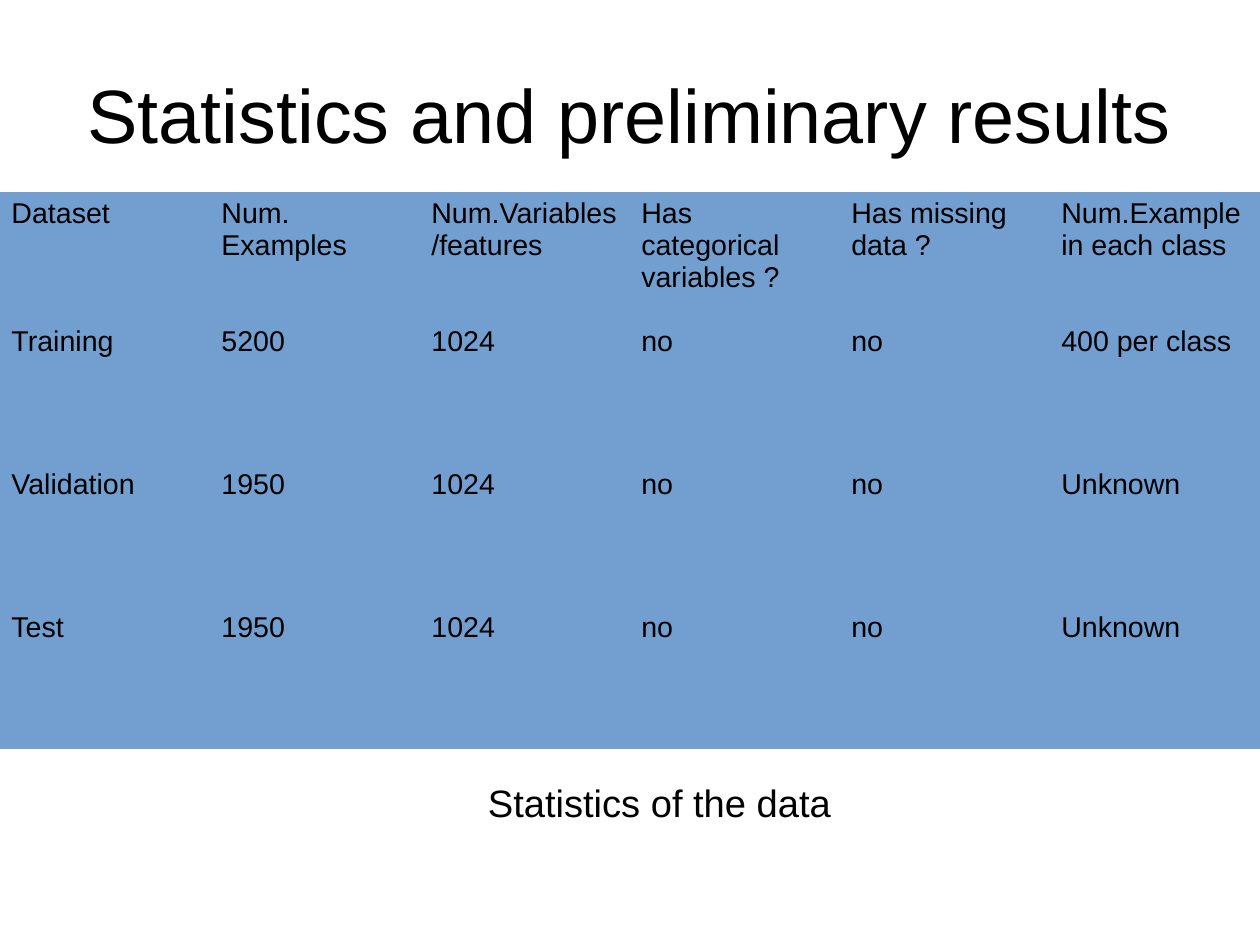
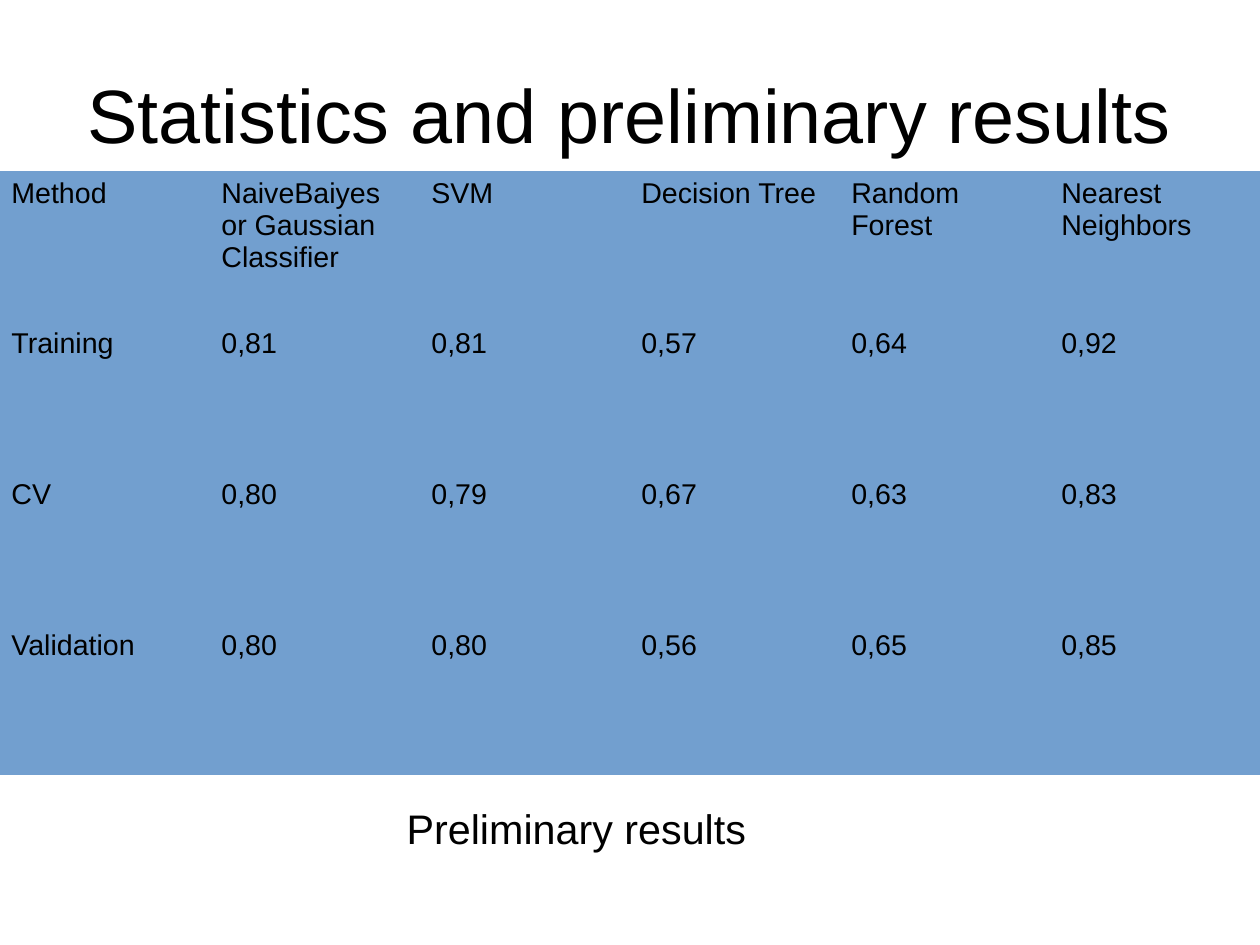
from pptx import Presentation
from pptx import util as u
from pptx.dml.color import RGBColor
from pptx.enum import text

NO_STYLE_NO_GRID = "{2D5ABB26-0587-4C30-8999-92F81FD0307C}"


def color(value):
    return RGBColor.from_string(value)


class Deck:
    width, height = u.Cm(28), u.Cm(21)
    font, ink, fill = "Arial", "000000", "729FCF"
    title_size, table_size = 47.6, 18

    def __init__(self):
        self.presentation = Presentation()
        self.presentation.slide_width = self.width
        self.presentation.slide_height = self.height
        self.page = None

    def style(self, frame, size, align=text.PP_ALIGN.LEFT):
        for paragraph in frame.paragraphs:
            paragraph.alignment = align
            paragraph.font.name = self.font
            paragraph.font.size = u.Pt(size)
            paragraph.font.color.rgb = color(self.ink)

    def add_page(self, title):
        layout = self.presentation.slide_layouts[5]
        self.page = self.presentation.slides.add_slide(layout)
        box = self.page.shapes.title
        box.left, box.top = u.Inches(0.55), u.Inches(0.31)
        box.width, box.height = u.Inches(9.92), u.Inches(1.37)
        frame = box.text_frame
        frame.text = title
        frame.word_wrap = True
        frame.auto_size = text.MSO_AUTO_SIZE.NONE
        frame.vertical_anchor = text.MSO_ANCHOR.MIDDLE
        frame.margin_left = frame.margin_right = 0
        frame.margin_top = frame.margin_bottom = 0
        self.style(frame, self.title_size, text.PP_ALIGN.CENTER)

    def add_caption(self, words, left, top, width, height, size):
        box = self.page.shapes.add_textbox(
            u.Inches(left), u.Inches(top), u.Inches(width), u.Inches(height))
        frame = box.text_frame
        frame.text = words
        frame.word_wrap = False
        frame.auto_size = text.MSO_AUTO_SIZE.SHAPE_TO_FIT_TEXT
        self.style(frame, size)

    def add_table(self, rows, top, header_height, row_height):
        heights = [header_height] + [row_height] * (len(rows) - 1)
        table = self.page.shapes.add_table(
            len(rows), len(rows[0]), 0, u.Inches(top),
            self.width, u.Inches(sum(heights))).table
        table.first_row = table.horz_banding = False
        table._tbl.tblPr[0].text = NO_STYLE_NO_GRID
        for column in table.columns:
            column.width = self.width // len(rows[0])
        for row, height, values in zip(table.rows, heights, rows):
            row.height = u.Inches(height)
            for cell, value in zip(row.cells, values):
                cell.text = value
                cell.fill.solid()
                cell.fill.fore_color.rgb = color(self.fill)
                self.style(cell.text_frame, self.table_size)


def main():
    deck = Deck()
    title = "Statistics and preliminary results"

    deck.add_page(title)
    deck.add_caption("Statistics of the data", 4.17, 6.77, 3.39, 0.84, 24)
    deck.add_table([
        ["Dataset", "Num.\nExamples", "Num.Variables/features",
         "Has categorical variables ?", "Has missing data ?",
         "Num.Example in each class"],
        ["Training", "5200", "1024", "no", "no", "400 per class"],
        ["Validation", "1950", "1024", "no", "no", "Unknown"],
        ["Test", "1950", "1024", "no", "no", "Unknown"],
    ], 1.68, 1.12, 1.25)

    deck.add_page(title)
    deck.add_caption("Preliminary results", 3.46, 6.98, 3.2, 0.5, 26)
    deck.add_table([
        ["Method", "NaiveBaiyes or Gaussian Classifier", "SVM",
         "Decision Tree", "Random Forest", "Nearest Neighbors"],
        ["Training", "0,81", "0,81", "0,57", "0,64", "0,92"],
        ["CV", "0,80", "0,79", "0,67", "0,63", "0,83"],
        ["Validation", "0,80", "0,80", "0,56", "0,65", "0,85"],
    ], 1.5, 1.32, 1.32)

    deck.presentation.save("out.pptx")


if __name__ == "__main__":
    main()
